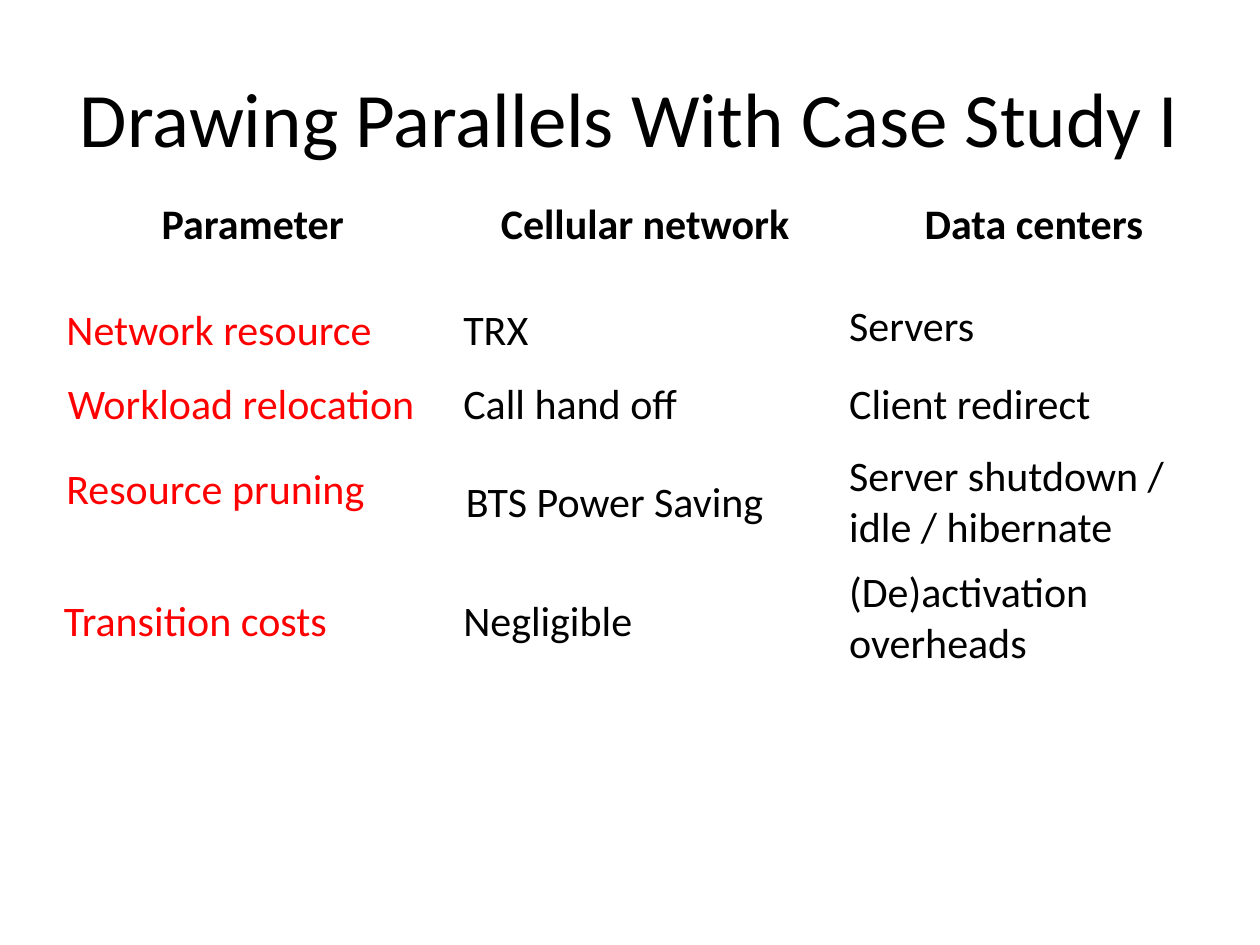
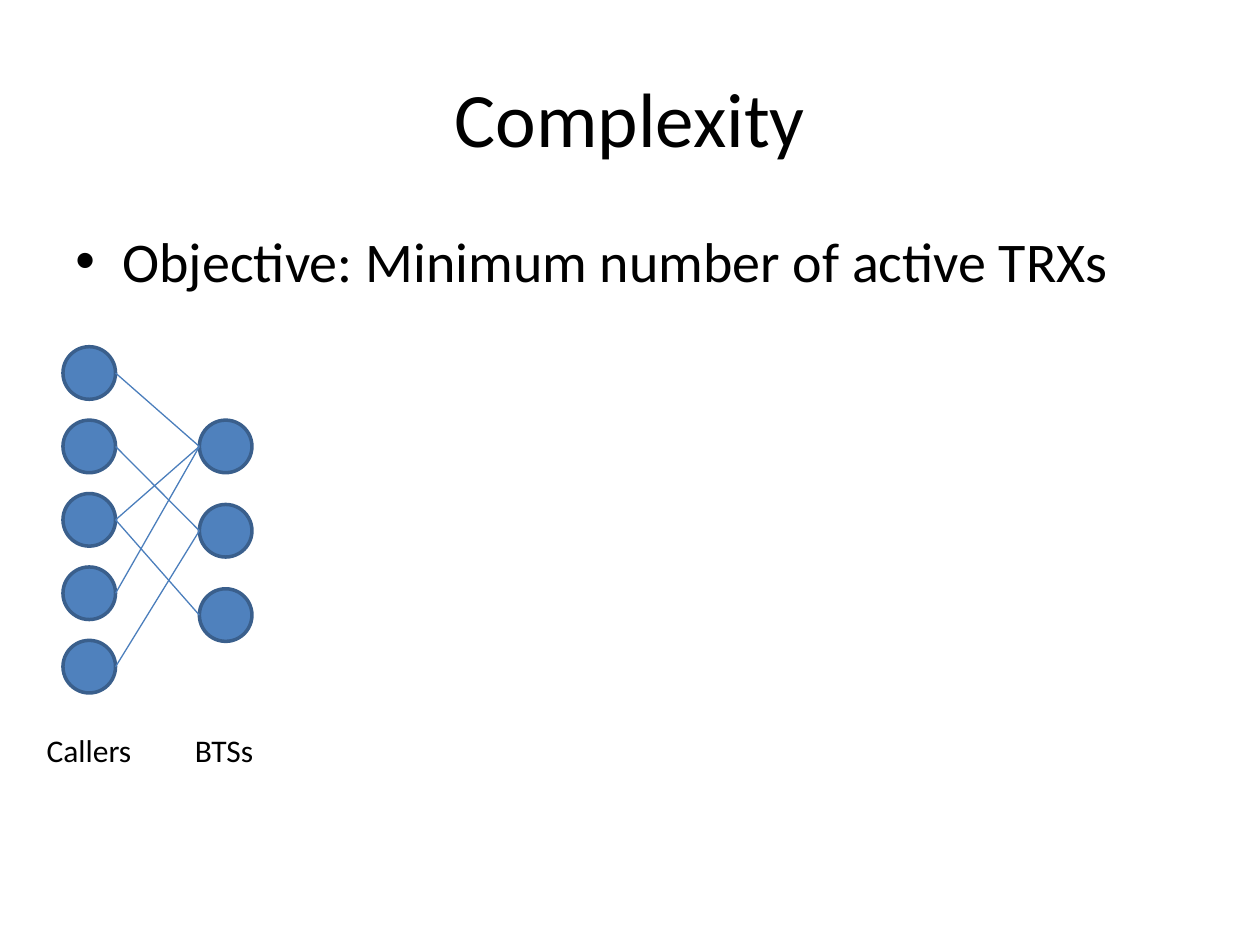
from lxml import etree
from pptx import Presentation
from pptx import util as u
from pptx.dml.color import RGBColor
from pptx.enum import shapes, text
from pptx.oxml import ns

COLOURS = {"ink": "000000", "parameter": "FF0000", "node": "4F81BD",
           "node_edge": "3A5F8C", "link": "4B7EBC"}
FONT = "Calibri"

HEADINGS = ["Parameter", "Cellular network", "Data centers"]
COLUMN_WIDTHS = [8.05, 7.77, 7.9]
ROW_HEIGHTS = [1.96, 1.57, 1.5, 2.51, 1.96]
LINE_HEIGHT, TWO_LINE_HEIGHT = 1.27, 2.31
ENTRIES = {
    "parameter": [("Network resource", 0.02, 2.1, 6.73),
                  ("Workload relocation", 0.05, 3.6, 7.57),
                  ("Resource pruning", 0.02, 5.3, 6.58),
                  ("Transition costs", -0.03, 7.97, 5.87)],
    "ink": [("TRX", 8.02, 2.1, 1.83),
            ("Call hand off", 8.02, 3.6, 4.88),
            ("BTS Power Saving", 8.07, 5.58, 6.55),
            ("Negligible", 8.02, 7.97, 3.96),
            ("Servers", 15.8, 2.03, 3.07),
            ("Client redirect", 15.8, 3.6, 5.44)],
}
WRAPPED_ENTRIES = [("Server shutdown / idle / hibernate", 15.8, 5.05, 7.7),
                   ("(De)activation overheads", 15.8, 7.39, 6.63)]

NODE_SIZE = 1.06
CALLER_COUNT, CALLER_PITCH = 5, 1.48
STATION_COUNT, STATION_PITCH = 3, 1.7
STATION_LEFT = 2.75
LINKS = [(0, 0), (1, 1), (2, 0), (2, 2), (3, 0), (4, 1)]


def colour(name):
    """Return the named colour."""
    return RGBColor.from_string(COLOURS[name])


def style_paragraph(para, size, ink="ink", bold=False):
    """Set the font of a whole paragraph."""
    para.font.name = FONT
    para.font.size = u.Pt(size)
    para.font.bold = bold
    para.font.color.rgb = colour(ink)


def add_titled_page(deck, title):
    """Add a title-only page with its title in place."""
    page = deck.slides.add_slide(deck.slide_layouts[5])
    box = page.shapes.title
    box.left, box.top, box.width, box.height = map(u.Cm, (1.27, 0.76, 22.86, 3.18))
    box.text_frame.text = title
    box.text_frame.vertical_anchor = text.MSO_ANCHOR.MIDDLE
    para = box.text_frame.paragraphs[0]
    para.alignment = text.PP_ALIGN.CENTER
    style_paragraph(para, 44)
    return page


def add_label(page, words, left, top, width, height, size, ink="ink", wrap=False):
    """Add a one-paragraph text box and return its paragraph."""
    box = page.shapes.add_textbox(*map(u.Cm, (left, top, width, height)))
    box.text_frame.word_wrap = wrap
    box.text_frame.text = words
    para = box.text_frame.paragraphs[0]
    style_paragraph(para, size, ink)
    return para


def add_comparison(page, left, top):
    """Place the comparison table and its entries from a top-left corner."""
    frame = page.shapes.add_table(
        len(ROW_HEIGHTS), len(COLUMN_WIDTHS),
        *map(u.Cm, (left, top, sum(COLUMN_WIDTHS), sum(ROW_HEIGHTS))))
    table = frame.table
    table.first_row = table.horz_banding = False
    for column, width in zip(table.columns, COLUMN_WIDTHS):
        column.width = u.Cm(width)
    for row, height in zip(table.rows, ROW_HEIGHTS):
        row.height = u.Cm(height)
    for cell in table.iter_cells():
        cell.fill.background()
    for cell, heading in zip(table.rows[0].cells, HEADINGS):
        cell.text = heading
        para = cell.text_frame.paragraphs[0]
        para.alignment = text.PP_ALIGN.CENTER
        style_paragraph(para, 24, bold=True)
    for ink, entries in ENTRIES.items():
        for words, right, down, width in entries:
            add_label(page, words, left + right, top + down, width, LINE_HEIGHT, 24, ink)
    for words, right, down, width in WRAPPED_ENTRIES:
        add_label(page, words, left + right, top + down, width, TWO_LINE_HEIGHT, 24, wrap=True)


def add_objective(page, left, top, width, height):
    """Place the bulleted objective in the given box."""
    para = add_label(page, "Objective: Minimum number of active TRXs",
                     left, top, width, height, 32, wrap=True)
    para.space_before = u.Pt(6.4)
    properties = para._p.get_or_add_pPr()
    properties.set("marL", str(u.Cm(0.95)))
    properties.set("indent", str(u.Cm(-0.95)))
    bullet_font = etree.Element(ns.qn("a:buFont"), typeface="Arial")
    bullet = etree.Element(ns.qn("a:buChar"), char="•")
    before_fonts = properties.find(ns.qn("a:defRPr"))
    for element in (bullet_font, bullet):
        before_fonts.addprevious(element)


def add_nodes(page, left, top, count, pitch):
    """Add a column of circles and return their centre heights."""
    tops = [top + index * pitch for index in range(count)]
    for node_top in tops:
        node = page.shapes.add_shape(
            shapes.MSO_SHAPE.OVAL, *map(u.Cm, (left, node_top, NODE_SIZE, NODE_SIZE)))
        node.shadow.inherit = False
        node.fill.solid()
        node.fill.fore_color.rgb = colour("node")
        node.line.color.rgb = colour("node_edge")
        node.line.width = u.Pt(2)
    return [node_top + NODE_SIZE / 2 for node_top in tops]


def add_link(page, *ends):
    """Draw a thin line between two points."""
    link = page.shapes.add_connector(shapes.MSO_CONNECTOR.STRAIGHT, *map(u.Cm, ends))
    link.line.color.rgb = colour("link")
    link.line.width = u.Pt(0.75)
    etree.SubElement(link._element.spPr, ns.qn("a:effectLst"))


def add_caller_graph(page, left, top):
    """Place callers, stations, links and captions from a top-left corner."""
    station_left = left + STATION_LEFT
    callers = add_nodes(page, left, top, CALLER_COUNT, CALLER_PITCH)
    stations = add_nodes(page, station_left, top + CALLER_PITCH, STATION_COUNT, STATION_PITCH)
    for caller, station in LINKS:
        add_link(page, left + NODE_SIZE, callers[caller], station_left, stations[station])
    for words, right, width in [("Callers", -0.58, 2.24), ("BTSs", 2.41, 1.7)]:
        add_label(page, words, left + right, top + 7.62, width, 1.02, 18)


def main():
    """Build and save the deck."""
    deck = Presentation()
    deck.slide_width, deck.slide_height = u.Cm(25.4), u.Cm(19.05)
    add_comparison(add_titled_page(deck, "Drawing Parallels With Case Study I"), 1.07, 3.89)
    page = add_titled_page(deck, "Complexity")
    add_objective(page, 1.27, 4.45, 22.86, 12.57)
    add_caller_graph(page, 1.27, 6.99)
    deck.save("out.pptx")


if __name__ == "__main__":
    main()
